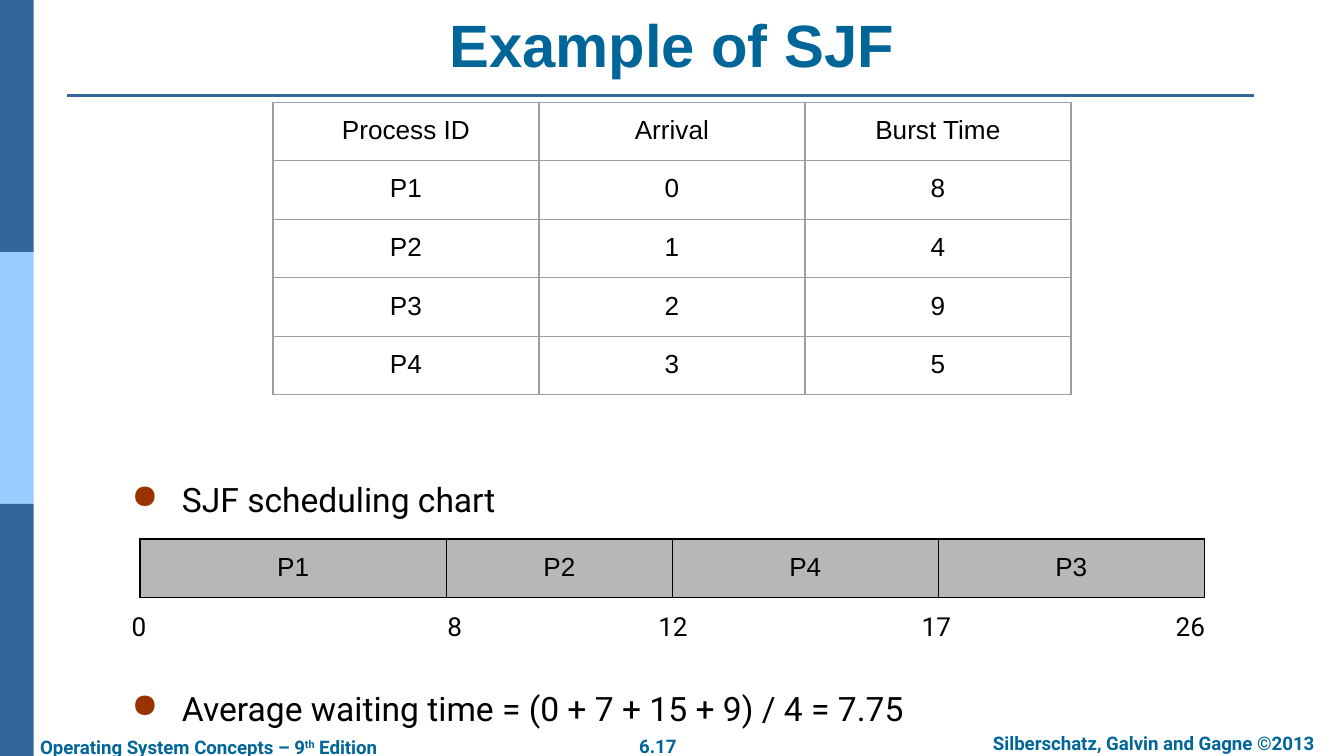
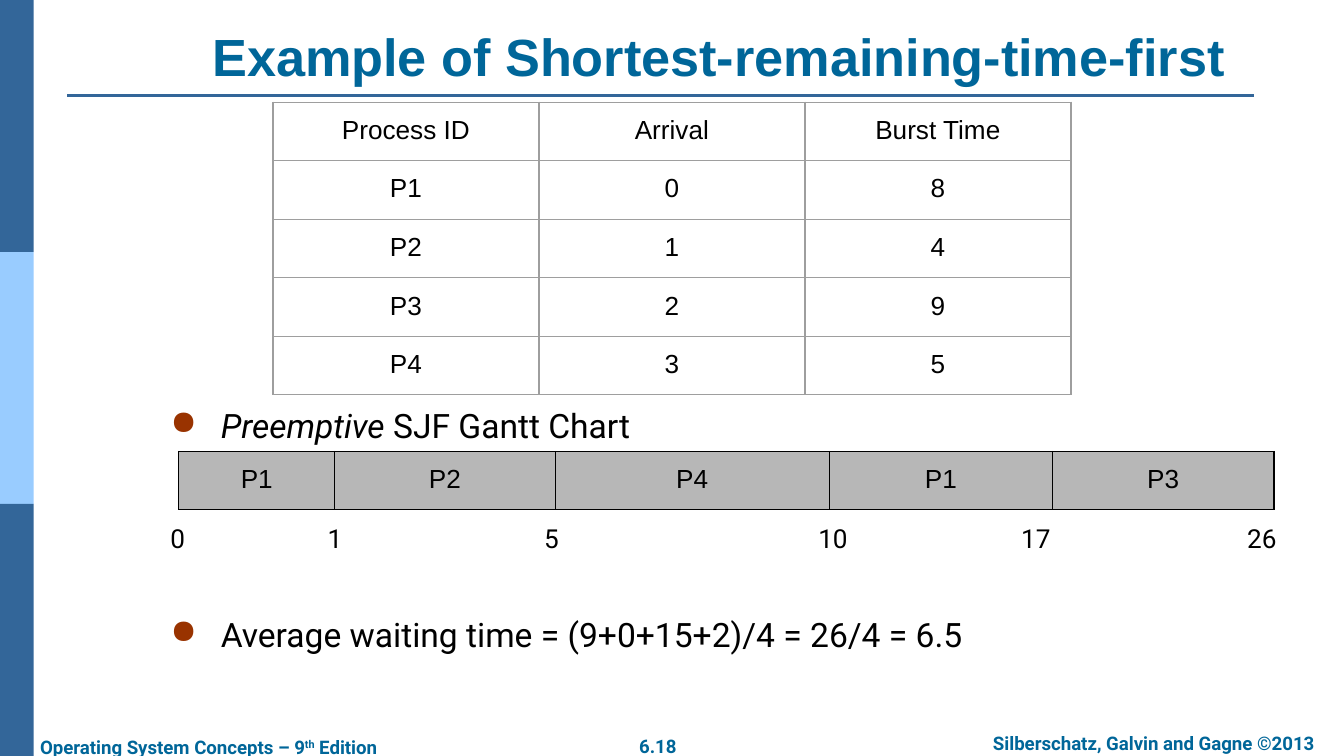
from dataclasses import dataclass
from itertools import product
from typing import NamedTuple

from lxml.etree import SubElement
from pptx import Presentation
from pptx.dml.color import RGBColor
from pptx.enum.shapes import MSO_CONNECTOR as Link, MSO_SHAPE as Shape
from pptx.enum.text import MSO_ANCHOR as Anchor, PP_ALIGN as Align
from pptx.oxml.ns import qn
from pptx.util import Pt

WIDE, HIGH = 720, 405
BLUE, SKY, TEAL = "336699", "99CCFF", "006699"
RUST, BLACK, GREY, SILVER = "993300", "000000", "9E9E9E", "B7B7B7"
SANS, BODY = "Arial", "Roboto"

JOBS = [
    ("Process ID", "Arrival", "Burst Time"),
    ("P1", "0", "8"),
    ("P2", "1", "4"),
    ("P3", "2", "9"),
    ("P4", "3", "5"),
]


class Box(NamedTuple):
    left: float
    top: float
    width: float
    height: float


class Part(NamedTuple):
    text: str
    slant: bool = False
    raised: bool = False


class Style(NamedTuple):
    font: str
    size: float
    color: str = BLACK
    bold: bool = False
    align: Align = Align.LEFT


class Tick(NamedTuple):
    text: str
    left: float


class Span(NamedTuple):
    name: str
    width: float


@dataclass
class Page:
    number: str
    title: str
    size: float
    head: Box
    body: Box
    lines: list[list[Part]]
    gantt: Box
    spans: list[Span]
    ticks: list[Tick]


FOOT = Style(BODY, 10, TEAL, True)
MID = FOOT._replace(align=Align.CENTER)
CELL = Style(SANS, 14, align=Align.CENTER)
MARK = Style(BODY, 14)
POINT = Style(BODY, 18)

PAGES = [
    Page(
        "6.17", "Example of SJF", 32,
        Box(36, 12.2, 648, 33.8), Box(63.4, 252.9, 648, 140),
        [[Part("SJF scheduling chart")],
         [Part("Average waiting time = (0 + 7 + 15 + 9) / 4 = 7.75")]],
        Box(75, 288.7, 570, 30.2),
        [Span("P1", 164.2), Span("P2", 121), Span("P4", 142.5), Span("P3", 142.5)],
        [Tick("0", 63.4), Tick("8", 232.6), Tick("12", 345.6),
         Tick("17", 486.7), Tick("26", 622.8)],
    ),
    Page(
        "6.18", "Example of Shortest-remaining-time-first", 28,
        Box(85.7, 16.6, 598.3, 33.8), Box(84.2, 213.2, 598, 140),
        [[Part("Preemptive ", slant=True), Part("SJF Gantt Chart")],
         [Part("Average waiting time = (9+0+15+2)/4 = 26/4 = 6.5")]],
        Box(95.8, 241.9, 587, 30.2),
        [Span("P1", 83.5), Span("P2", 118.1), Span("P4", 146.9),
         Span("P1", 119.5), Span("P3", 118.8)],
        [Tick("0", 84.2), Tick("1", 168.5), Tick("5", 284.4),
         Tick("10", 431.3), Tick("17", 540), Tick("26", 661)],
    ),
]


def rgb(code: str) -> RGBColor:
    return RGBColor.from_string(code)


def place(box: Box) -> list[int]:
    return [Pt(side) for side in box]


def dress(para, style: Style) -> None:
    para.alignment = style.align
    for run in para.runs:
        font = run.font
        font.name, font.size, font.bold = style.font, Pt(style.size), style.bold
        font.color.rgb = rgb(style.color)


def pad(frame, side: float, edge: float) -> None:
    frame.margin_left = frame.margin_right = Pt(side)
    frame.margin_top = frame.margin_bottom = Pt(edge)


def write(slide, box: Box, lines: list[list[Part]], style: Style,
          edge: float = 3.6, anchor: Anchor = Anchor.TOP):
    """Add a text box with one paragraph for each list of parts."""
    frame = slide.shapes.add_textbox(*place(box)).text_frame
    frame.word_wrap, frame.vertical_anchor = True, anchor
    pad(frame, 7.2, edge)
    for row, parts in enumerate(lines):
        para = frame.add_paragraph() if row else frame.paragraphs[0]
        for part in parts:
            run = para.add_run()
            run.text = part.text
            run.font.italic = part.slant
            if part.raised:
                run._r.get_or_add_rPr().set("baseline", "30000")
        dress(para, style)
    return frame


def bullet(para) -> None:
    props = para._p.get_or_add_pPr()
    props.set("marL", str(Pt(27)))
    props.set("indent", str(-Pt(27)))
    tint = SubElement(props, qn("a:buClr"))
    SubElement(tint, qn("a:srgbClr"), val=RUST)
    SubElement(props, qn("a:buChar"), char="●")


def border(cell, color: str) -> None:
    props = cell._tc.get_or_add_tcPr()
    for spot, side in enumerate(("lnL", "lnR", "lnT", "lnB")):
        line = props.makeelement(qn(f"a:{side}"), {"w": str(Pt(0.75))})
        fill = SubElement(line, qn("a:solidFill"))
        SubElement(fill, qn("a:srgbClr"), val=color)
        props.insert(spot, line)


def grid(slide, box: Box, rows: list, widths: list[float],
         heights: list[float], edge: str, fill: str | None = None) -> None:
    table = slide.shapes.add_table(len(rows), len(widths), *place(box)).table
    table.first_row = table.horz_banding = False
    for col, width in zip(table.columns, widths):
        col.width = Pt(width)
    for row, height in zip(table.rows, heights):
        row.height = Pt(height)
    for r, c in product(range(len(rows)), range(len(widths))):
        cell = table.cell(r, c)
        cell.text_frame.text = rows[r][c]
        pad(cell, 7.2, 7.2)
        dress(cell.text_frame.paragraphs[0], CELL)
        if fill:
            cell.fill.solid()
            cell.fill.fore_color.rgb = rgb(fill)
        else:
            cell.fill.background()
        border(cell, edge)


def frame(slide, number: str) -> None:
    """Draw the side bands, title rule and footers that all slides share."""
    step = HIGH / 3
    for row, color in enumerate((BLUE, SKY, BLUE)):
        band = slide.shapes.add_shape(
            Shape.RECTANGLE, *place(Box(0, row * step, 18, step)))
        band.shadow.inherit = False
        band.fill.solid()
        band.fill.fore_color.rgb = rgb(color)
        band.line.fill.background()
    rule = slide.shapes.add_connector(
        Link.STRAIGHT, Pt(36), Pt(51), Pt(672), Pt(51))
    rule.line.color.rgb, rule.line.width = rgb(BLUE), Pt(1.5)
    SubElement(rule._element.spPr, qn("a:effectLst"))
    write(slide, Box(334.8, 390.2, 35.3, 14.4), [[Part(number)]], MID)
    write(slide, Box(516, 388.8, 204, 14.4),
          [[Part("Silberschatz, Galvin and Gagne ©2013")]], MID)
    write(slide, Box(14.4, 390.6, 208, 14.4),
          [[Part("Operating System Concepts – 9"), Part("th", raised=True),
            Part(" Edition")]], FOOT)


def build(slide, page: Page) -> None:
    frame(slide, page.number)
    write(slide, page.head, [[Part(page.title)]],
          Style(SANS, page.size, TEAL, True, Align.CENTER), anchor=Anchor.BOTTOM)
    body = write(slide, page.body, page.lines, POINT)
    body.paragraphs[1].space_before = Pt(90.3)
    for para in body.paragraphs:
        bullet(para)
    grid(slide, Box(146.2, 54.7, 427.5, 146.9), JOBS, [142.5] * 3,
         [28.8, 31.7, 28.8, 28.8, 28.8], GREY)
    grid(slide, page.gantt, [[span.name for span in page.spans]],
         [span.width for span in page.spans], [page.gantt.height], BLACK, SILVER)
    top = page.gantt.top + 31
    for tick in page.ticks:
        write(slide, Box(tick.left, top, 33.8, 33.8), [[Part(tick.text)]], MARK, 7.2)


def main() -> None:
    deck = Presentation()
    deck.slide_width, deck.slide_height = Pt(WIDE), Pt(HIGH)
    for page in PAGES:
        build(deck.slides.add_slide(deck.slide_layouts[6]), page)
    deck.save("out.pptx")


if __name__ == "__main__":
    main()
